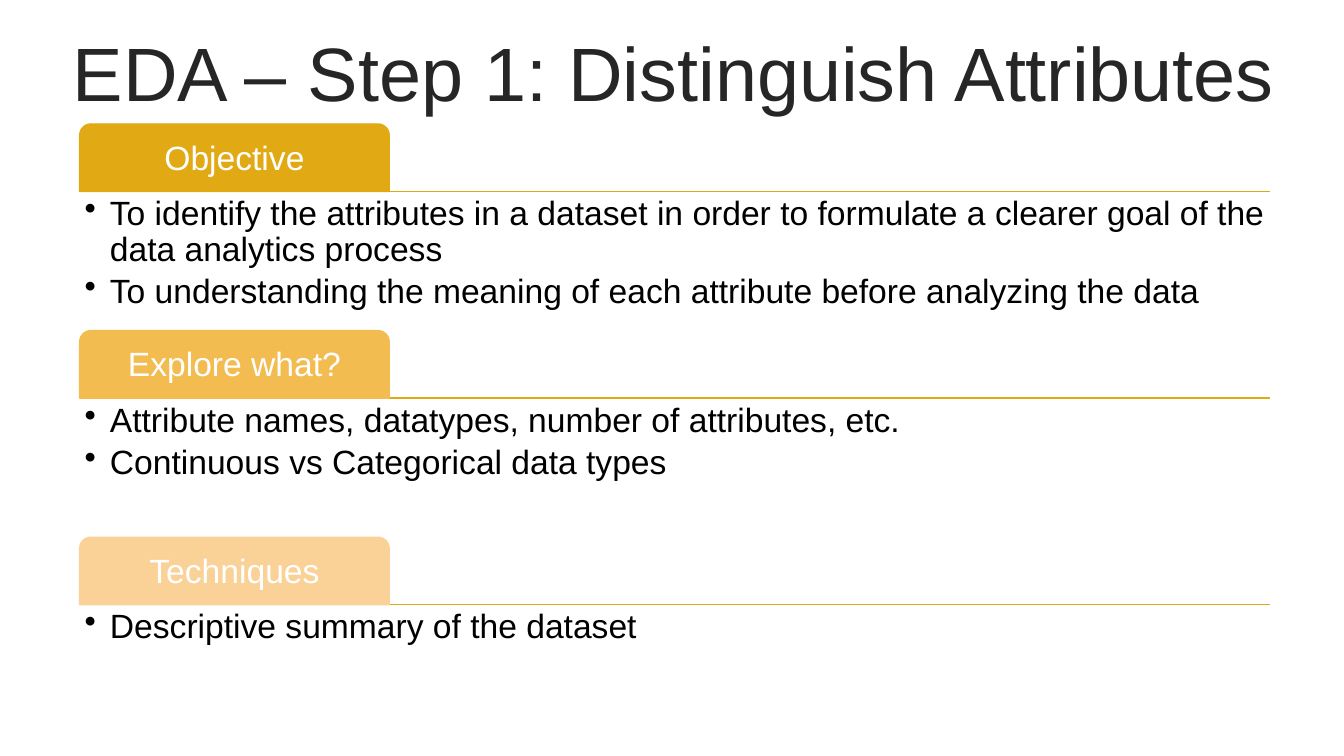
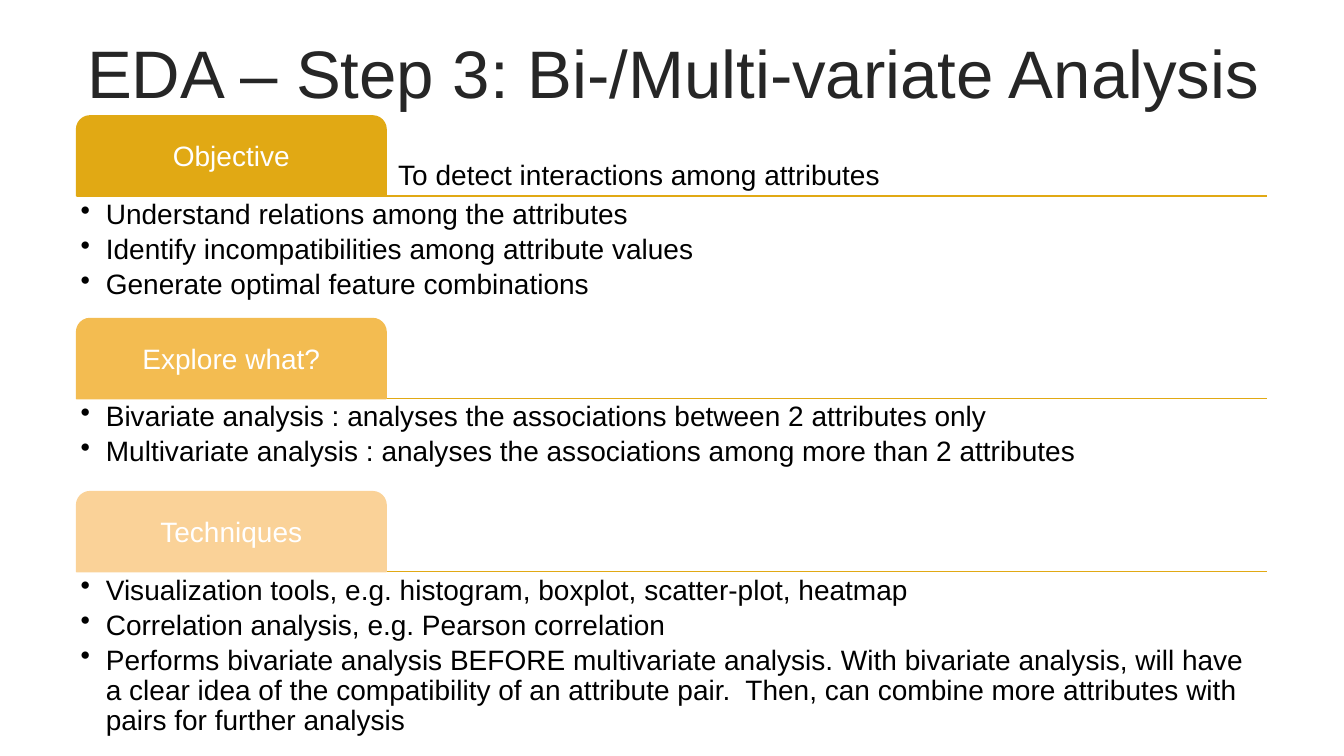
from dataclasses import dataclass

from lxml.etree import SubElement
from pptx import Presentation
from pptx.dml.color import RGBColor
from pptx.enum.shapes import MSO_CONNECTOR, MSO_SHAPE
from pptx.enum.text import MSO_ANCHOR, MSO_AUTO_SIZE, PP_ALIGN
from pptx.oxml.ns import qn
from pptx.util import Inches, Pt

SLIDE_WIDTH, SLIDE_HEIGHT = Inches(13.33), Inches(7.5)


@dataclass(frozen=True)
class Theme:
    font: str = "Arial"
    title_color: str = "262626"
    body_color: str = "000000"
    label_color: str = "FFFFFF"
    rule_color: str = "E1A914"
    tab_colors: tuple = ("E1A914", "F3BC51", "FAD298")
    line_width: float = 1
    line_spacing: float = 0.9
    bullet_gap: float = 0.17  # share of the type size
    bullet_indent: float = 0.25  # inches


THEME = Theme()


@dataclass(frozen=True)
class Section:
    label: str
    bullets: tuple
    height: float  # bullet area, percent of slide height
    summary: str = ""


@dataclass(frozen=True)
class Step:
    """One slide; left, top, tab_height and gap are percents of the slide."""
    title: str
    title_size: int
    text_size: int
    inset: float
    left: float
    top: float
    tab_height: float
    gap: float
    sections: tuple


STEPS = (
    Step("EDA – Step 1: Distinguish Attributes", 54, 24, 0.05,
         left=5.93, top=16.4, tab_height=8.93, gap=0.4, sections=(
             Section("Objective", (
                 "To identify the attributes in a dataset in order to formulate "
                 "a clearer goal of the data analytics process",
                 "To understanding the meaning of each attribute before "
                 "analyzing the data"), 18),
             Section("Explore what?", (
                 "Attribute names, datatypes, number of attributes, etc.",
                 "Continuous vs Categorical data types"), 18),
             Section("Techniques", ("Descriptive summary of the dataset",), 18))),
    Step("EDA – Step 3: Bi-/Multi-variate Analysis", 48, 20, 0.04,
         left=5.7, top=15.33, tab_height=10.6, gap=0.5, sections=(
             Section("Objective", (
                 "Understand relations among the attributes",
                 "Identify incompatibilities among attribute values",
                 "Generate optimal feature combinations"), 15.7,
                 summary="To detect interactions among attributes"),
             Section("Explore what?", (
                 "Bivariate analysis : analyses the associations between "
                 "2 attributes only",
                 "Multivariate analysis : analyses the associations among "
                 "more than 2 attributes"), 11.8),
             Section("Techniques", (
                 "Visualization tools, e.g. histogram, boxplot, scatter-plot, "
                 "heatmap",
                 "Correlation analysis, e.g. Pearson correlation",
                 "Performs bivariate analysis BEFORE multivariate analysis. "
                 "With bivariate analysis, will have a clear idea of the "
                 "compatibility of an attribute pair.  Then, can combine more "
                 "attributes with pairs for further analysis"), 21.2))),
)

SECTION_WIDTH = 88.6
TAB_WIDTH = 23.03


def across(percent):
    return round(SLIDE_WIDTH * percent / 100)


def down(percent):
    return round(SLIDE_HEIGHT * percent / 100)


def area(left, top, width, height):
    return across(left), down(top), across(width), down(height)


def add_bullet(paragraph):
    indent = Inches(THEME.bullet_indent)
    properties = paragraph._p.get_or_add_pPr()
    properties.set("marL", str(indent))
    properties.set("indent", str(-indent))
    SubElement(properties, qn("a:buChar")).set("char", "•")


def write(frame, *lines, size, color, align=PP_ALIGN.LEFT,
          anchor=MSO_ANCHOR.TOP, inset=0.1, left_inset=None, bulleted=False):
    frame.word_wrap = True
    frame.auto_size = MSO_AUTO_SIZE.NONE
    frame.vertical_anchor = anchor
    frame.margin_top = frame.margin_right = frame.margin_bottom = Inches(inset)
    frame.margin_left = Inches(inset if left_inset is None else left_inset)
    for index, line in enumerate(lines):
        paragraph = frame.add_paragraph() if index else frame.paragraphs[0]
        if bulleted:
            add_bullet(paragraph)
            paragraph.space_after = Pt(round(size * THEME.bullet_gap, 1))
        paragraph.alignment = align
        paragraph.line_spacing = THEME.line_spacing
        run = paragraph.add_run()
        run.text = line
        run.font.name = THEME.font
        run.font.size = Pt(size)
        run.font.color.rgb = RGBColor.from_string(color)


def add_title(slide, step):
    title = slide.shapes.title
    title.left, title.top, title.width, title.height = area(2.63, 4.9, 95, 10.5)
    write(title.text_frame, step.title, size=step.title_size,
          color=THEME.title_color, align=PP_ALIGN.CENTER,
          anchor=MSO_ANCHOR.MIDDLE, inset=0.05)


def style_line(line, color):
    line.color.rgb = RGBColor.from_string(color)
    line.width = Pt(THEME.line_width)


def add_rule(slide, left, top):
    rule = slide.shapes.add_connector(
        MSO_CONNECTOR.STRAIGHT, across(left), down(top),
        across(left + SECTION_WIDTH), down(top))
    style_line(rule.line, THEME.rule_color)
    SubElement(rule._element.spPr, qn("a:effectLst"))


def add_tab(slide, step, label, top, color):
    tab = slide.shapes.add_shape(
        MSO_SHAPE.ROUND_2_SAME_RECTANGLE,
        *area(step.left, top, TAB_WIDTH, step.tab_height))
    tab.shadow.inherit = False
    tab.fill.solid()
    tab.fill.fore_color.rgb = RGBColor.from_string(color)
    style_line(tab.line, color)
    write(tab.text_frame, label, size=step.text_size, color=THEME.label_color,
          align=PP_ALIGN.CENTER, anchor=MSO_ANCHOR.MIDDLE, inset=step.inset)


def add_body(slide, step, place, *lines, **text_format):
    box = slide.shapes.add_textbox(*area(*place))
    write(box.text_frame, *lines, size=step.text_size, color=THEME.body_color,
          inset=step.inset, **text_format)


def add_section(slide, step, section, top, color):
    """Draw a section and return the top of the next one."""
    rule_top = top + step.tab_height
    add_rule(slide, step.left, rule_top)
    add_tab(slide, step, section.label, top, color)
    if section.summary:
        add_body(slide, step,
                 (step.left + TAB_WIDTH, top,
                  SECTION_WIDTH - TAB_WIDTH, step.tab_height),
                 section.summary, anchor=MSO_ANCHOR.BOTTOM, left_inset=0.12)
    add_body(slide, step, (step.left, rule_top, SECTION_WIDTH, section.height),
             *section.bullets, bulleted=True)
    return rule_top + section.height + step.gap


def add_step(deck, step):
    slide = deck.slides.add_slide(deck.slide_layouts.get_by_name("Title Only"))
    add_title(slide, step)
    top = step.top
    for section, color in zip(step.sections, THEME.tab_colors):
        top = add_section(slide, step, section, top, color)


def main():
    deck = Presentation()
    deck.slide_width, deck.slide_height = SLIDE_WIDTH, SLIDE_HEIGHT
    for step in STEPS:
        add_step(deck, step)
    deck.save("out.pptx")


if __name__ == "__main__":
    main()
